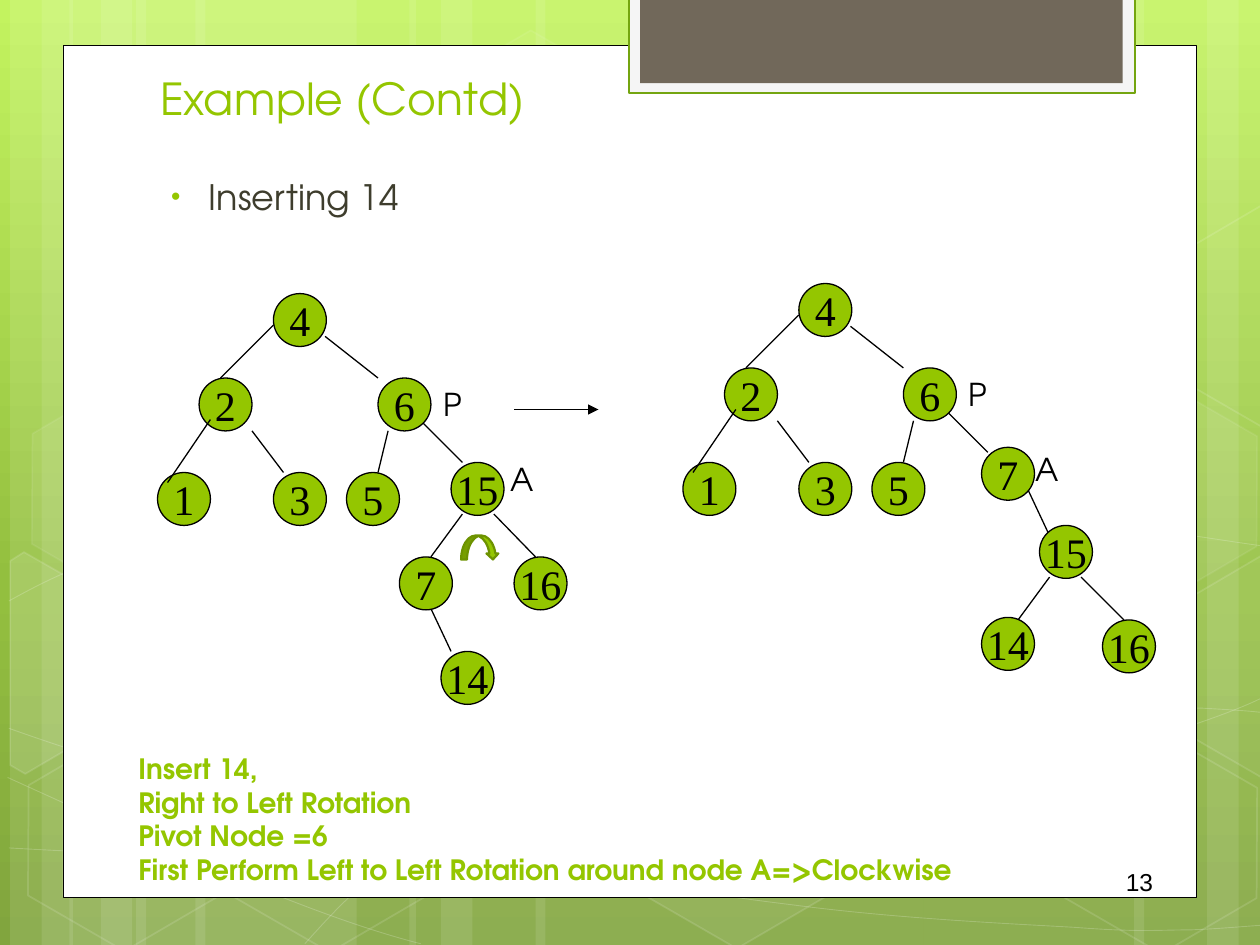
import copy
import math

from lxml import etree
from pptx import Presentation
from pptx import util as u
from pptx.dml.color import RGBColor
from pptx.enum import shapes, text
from pptx.oxml.ns import qn

LIME = RGBColor(0x94, 0xC6, 0x00)
MOSS = RGBColor(0x6D, 0x92, 0x00)
LEAF = RGBColor(0x74, 0xA5, 0x10)
TAUPE = RGBColor(0x71, 0x68, 0x5A)
OLIVE = RGBColor(0x3E, 0x3D, 0x2D)
PALE = RGBColor(0xF5, 0xF5, 0xF5)
WHITE = RGBColor(0xFF, 0xFF, 0xFF)
BLACK = RGBColor(0, 0, 0)
GRADIENT = [(0, RGBColor(0xC3, 0xF3, 0x5F)), (0.62, RGBColor(0x93, 0xBF, 0x3F)),
            (1, RGBColor(0x81, 0xA5, 0x3E))]

SANS, SERIF = "TeX Gyre Adventor", "Times New Roman"
HEAD = {"name": SANS, "size": u.Pt(25.2), "bold": False}
BODY = {"name": SANS, "size": u.Pt(20)}
NOTE = {"name": SANS, "size": u.Pt(16), "bold": True}
TAG = {"name": SANS, "size": u.Pt(18)}
NUM = {"name": SERIF, "size": u.Pt(24)}
PAGE = {"name": "Arial", "size": u.Pt(14)}

OVAL, RECT = shapes.MSO_SHAPE.OVAL, shapes.MSO_SHAPE.RECTANGLE
HEX, TURN = shapes.MSO_SHAPE.HEXAGON, shapes.MSO_SHAPE.CURVED_DOWN_ARROW

# Pale bars: left, width, turn
BARS = [(1.08, 1.75, 0), (0.08, 0.5, 0), (0.33, 0.83, 0), (1.55, 1.75, 0), (0.55, 0.5, 0),
        (0.8, 0.83, 0), (7.33, 1.75, 180), (9.58, 0.5, 180), (9, 0.83, 180),
        (4.25, 3.08, 0), (3.25, 0.5, 0), (3.5, 0.83, 0)]
# Bezier chains: a start, then three points a piece (three equal ones: a straight piece)
WAVES = [
    [(0.07, 6.73), (0.61, 6.76), (1.15, 6.79), (1.9, 6.78), (2.65, 6.77), (3.58, 6.75),
     (4.58, 6.65), (5.58, 6.55), (7, 6.36), (7.92, 6.17), (8.83, 5.98), (9.77, 5.68), (10.07, 5.51)],
    [(0.07, 4.77), (0.36, 4.61), (0.65, 4.46), (1.21, 4.31), (1.78, 4.16), (2.59, 3.94),
     (3.47, 3.87), (4.36, 3.8), (5.44, 3.79), (6.54, 3.87), (7.64, 3.95), (9.47, 4.26), (10.07, 4.34)],
    [(0.06, 6.17), (1.27, 6.72), (2.47, 7.27), (3.34, 7.49)],
    [(0.07, 5.78), (0.38, 5.89), (0.7, 6), (1.28, 6.16), (1.86, 6.31), (2.73, 6.56), (3.57, 6.73),
     (4.4, 6.9), (5.45, 7.08), (6.28, 7.18), (7.11, 7.29), (8, 7.33), (8.53, 7.36),
     (9.05, 7.4), (9.19, 7.38), (9.45, 7.38), (9.71, 7.37), (9.89, 7.35), (10.07, 7.34)],
    [(2.42, 7.49), (2.6, 7.29), (2.78, 7.09), (3.02, 6.91), (3.26, 6.73), (3.6, 6.53), (3.88, 6.39),
     (4.16, 6.25), (4.33, 6.19), (4.7, 6.09), (5.06, 5.99), (5.73, 5.85), (6.08, 5.78),
     (6.44, 5.71), (6.49, 5.71), (6.8, 5.69), (7.11, 5.66), (7.6, 5.63), (7.94, 5.62),
     (8.29, 5.61), (8.86, 5.62), (8.86, 5.62)] + [(9.53, 5.62)] * 3 +
    [(9.71, 5.63), (9.88, 5.64), (9.97, 5.65), (10.06, 5.66), (10.03, 5.65), (10.06, 5.66)],
]
# Hexagons: left, top, fill and line opacity in percent
CELLS = [(3.34, 0.36, 4, 8), (4.97, 5.89, 6, 12), (0.11, 5.91, 0, 12), (0.14, 3.12, 7, 8),
         (1.74, 5.92, 0, 12), (7.53, 4.53, 10, 12), (8.34, 5.93, 0, 12), (8.34, 3.14, 7, 8)]
# Hexagons cut by the slide edge: centre, points, fill opacity
CUTS = [
    ((0.36, 5.35), [(0.08, 4.45), (0.19, 4.38), (0.96, 4.82), (0.95, 5.7), (0.2, 6.14), (0.08, 6.07)], 10),
    ((9.85, 5.2), [(9.26, 4.85), (10.01, 4.41), (10.09, 4.46), (10.09, 6.13), (10.02, 6.17), (9.26, 5.73)], 4),
    ((9.85, 2.41), [(9.26, 2.07), (10.01, 1.63), (10.1, 1.68), (10.09, 3.35), (10.02, 3.39), (9.26, 2.95)], 0),
]

# Part shared by both trees, then what differs; the right tree is shifted
LOW = [("3", 2.17, 3.75), ("2", 1.58, 3), ("1", 1.25, 3.75)]
TOP = [("4", 2.17, 2.33), ("6", 3, 3), ("5", 2.75, 3.75)]
EDGES = [(2.17, 2.58, 1.75, 3), (2.58, 2.67, 3, 3), (3.33, 3.33, 3.67, 3.67),
         (1.67, 3.33, 1.33, 3.83), (2, 3.42, 2.25, 3.75), (3.08, 3.42, 3, 3.75)]
TAGS = [("P", 3.42, 3.01), ("A", 3.95, 3.6)]
SHIFT = (4.17, -0.08)
LEFT = ([("15", 3.58, 3.67), ("16", 4.08, 4.42), ("7", 3.17, 4.42), ("14", 3.5, 5.17)],
        [(3.92, 4.08, 4.25, 4.42), (3.67, 4.08, 3.42, 4.42), (3.42, 4.83, 3.58, 5.17)])
RIGHT = ([("15", 8.25, 4.17), ("16", 8.75, 4.92), ("7", 7.79, 3.55), ("14", 7.79, 4.9)],
         [(8.58, 4.58, 8.92, 4.92), (8.33, 4.58, 8.08, 4.92), (8.16, 3.89, 8.32, 4.23)])


def inch(*vals):
    return [u.Inches(v) for v in vals]


def paint(shape, fill=None, line=None, width=0.75, alpha=100, ink=100):
    """Set fill and line; alpha and ink are their opacities."""
    shape.shadow.inherit = False
    for part, hue in ((shape.fill, fill), (shape.line.fill, line)):
        if hue is None:
            part.background()
        else:
            part.solid()
            part.fore_color.rgb = hue
    if line is not None:
        shape.line.width = u.Pt(width)
    for query, level in (("a:solidFill", alpha), ("a:ln/a:solidFill", ink)):
        for clr in shape._element.spPr.xpath(query + "/a:srgbClr"):
            if level < 100:
                etree.SubElement(clr, qn("a:alpha"), val=str(level * 1000))


def add_box(slide, kind, box, **look):
    shape = slide.shapes.add_shape(kind, *inch(*box))
    paint(shape, **look)
    return shape


def add_free(slide, points, closed, **look):
    spots = [inch(*p) for p in points]
    pen = slide.shapes.build_freeform(*spots[0])
    pen.add_line_segments(spots[1:], close=closed)
    shape = pen.convert_to_shape()
    paint(shape, **look)
    return shape


def add_wave(slide, chain):
    """Join each three segments of a freeform into one Bezier piece."""
    shape = add_free(slide, chain, False, line=WHITE, width=0.5, ink=20)
    segs = shape._element.spPr.xpath(".//a:lnTo")
    for i in range(0, len(segs), 3):
        flat = len(set(chain[i + 1:i + 4])) == 1
        piece = etree.SubElement(segs[0].getparent() if i == 0 else trail,
                                 qn("a:lnTo" if flat else "a:cubicBezTo"))
        trail = piece.getparent()
        for seg in segs[i:i + 1 if flat else i + 3]:
            piece.append(seg[0])
    for seg in segs:
        trail.remove(seg)


def add_line(slide, ends, arrow=False):
    line = slide.shapes.add_connector(shapes.MSO_CONNECTOR.STRAIGHT, *inch(*ends))
    line.line.color.rgb = BLACK
    line.line.width = u.Pt(0.75)
    props = line._element.spPr
    if arrow:
        etree.SubElement(props.xpath("a:ln")[0], qn("a:tailEnd"), type="triangle")
    etree.SubElement(props, qn("a:effectLst"))


def write(frame, lines, fmt, hue, align=text.PP_ALIGN.LEFT, anchor=text.MSO_ANCHOR.TOP, wrap=True):
    frame.word_wrap = wrap
    frame.vertical_anchor = anchor
    frame.auto_size = text.MSO_AUTO_SIZE.NONE
    for i, words in enumerate(lines):
        para = frame.add_paragraph() if i else frame.paragraphs[0]
        para.text = words
        para.alignment = align
        for run in para.runs:
            run.font.color.rgb = hue
            for key, val in fmt.items():
                setattr(run.font, key, val)


def add_text(slide, box, lines, fmt, hue, **look):
    frame = slide.shapes.add_textbox(*inch(*box)).text_frame
    write(frame, lines, fmt, hue, **look)
    return frame


def add_dot(para):
    props = para._p.get_or_add_pPr()
    props.set("marL", str(u.Inches(0.38)))
    props.set("indent", str(u.Inches(-0.3)))
    tint = etree.SubElement(props, qn("a:buClr"))
    etree.SubElement(tint, qn("a:srgbClr"), val=str(LIME))
    etree.SubElement(props, qn("a:buSzPct"), val="76000")
    etree.SubElement(props, qn("a:buFont"), typeface="Arial")
    etree.SubElement(props, qn("a:buChar"), char="•")


def spin(points, mid, angle):
    c, s = math.cos(math.radians(angle)), math.sin(math.radians(angle))
    rel = [(x - mid[0], y - mid[1]) for x, y in points]
    return [(mid[0] + x * c - y * s, mid[1] + x * s + y * c) for x, y in rel]


def add_scene(slide):
    # Gradient behind everything
    fill = slide.background.fill
    fill.gradient()
    fill.gradient_angle = 270
    first = fill.gradient_stops[0]._gs
    first.addnext(copy.deepcopy(first))
    for stop, (spot, hue) in zip(fill.gradient_stops, GRADIENT):
        stop.position = spot
        stop.color.rgb = hue
    # Bars, waves and hexagons
    for left, wide, turn in BARS:
        add_box(slide, RECT, (left, 0, wide, 7.5), fill=WHITE, alpha=10).rotation = turn
    for chain in WAVES:
        add_wave(slide, chain)
    for left, top, alpha, ink in CELLS:
        cell = add_box(slide, HEX, (left, top, 1.75, 1.52), fill=WHITE if alpha else None,
                       line=WHITE, width=1, alpha=alpha, ink=ink)
        cell.adjustments[0] = 0.285
        cell.rotation = 30
    for mid, points, alpha in CUTS:
        add_free(slide, spin(points, mid, -30), True, fill=WHITE if alpha else None,
                 line=WHITE, width=1, alpha=alpha, ink=12).rotation = 30
    # Page panel and top tab
    add_box(slide, RECT, (0.5, 0.36, 9, 6.76), fill=WHITE, line=BLACK, width=0.5)
    add_box(slide, RECT, (4.99, -0.02, 4.02, 0.76), fill=PALE, line=LEAF, width=1.25)
    add_box(slide, RECT, (5.08, -0.02, 3.83, 0.68), fill=TAUPE)


def add_tree(slide, dx, dy, nodes, edges):
    def add_nodes(items):
        for label, x, y in items:
            node = add_box(slide, OVAL, (x, y, 0.42, 0.42), fill=LIME, line=BLACK)
            write(node.text_frame, [label], NUM, BLACK, align=text.PP_ALIGN.CENTER,
                  anchor=text.MSO_ANCHOR.MIDDLE, wrap=False)

    def move(items):
        return [(label, x + dx, y + dy) for label, x, y in items]

    add_nodes(move(LOW))
    for ends in [(a + dx, b + dy, c + dx, d + dy) for a, b, c, d in EDGES] + edges:
        add_line(slide, ends)
    add_nodes(move(TOP) + nodes)
    for label, x, y in move(TAGS):
        add_text(slide, (x, y, 0.42, 0.4), [label], TAG, BLACK)


def main():
    deck = Presentation()
    deck.slide_width, deck.slide_height = inch(10, 7.5)
    slide = deck.slides.add_slide(deck.slide_layouts[5])
    add_scene(slide)
    # Title, raised above the panel
    title = slide.shapes.title
    slide.shapes._spTree.append(title._element)
    title.left, title.top, title.width, title.height = inch(1.17, 0.5, 7.68, 0.54)
    write(title.text_frame, ["Example (Contd)"], HEAD, LIME, anchor=text.MSO_ANCHOR.BOTTOM)
    # Body, notes and page number
    body = add_text(slide, (1.18, 1.34, 7.41, 3.84), ["Inserting 14"], BODY, OLIVE)
    add_dot(body.paragraphs[0])
    add_text(slide, (1, 5.83, 7.63, 1.25),
             ["Insert 14,", "Right to Left Rotation\vPivot Node =6\v"
              "First Perform Left to Left Rotation around node A=>Clockwise"],
             NOTE, LIME, anchor=text.MSO_ANCHOR.BOTTOM)
    add_text(slide, (7.17, 6.83, 2.08, 0.5), ["13"], PAGE, BLACK, align=text.PP_ALIGN.RIGHT)
    # Trees before and after the rotation
    add_tree(slide, 0, 0, *LEFT)
    add_line(slide, (4.08, 3.25, 4.75, 3.25), arrow=True)
    add_tree(slide, *SHIFT, *RIGHT)
    add_box(slide, TURN, (3.66, 4.25, 0.3, 0.19), fill=LIME, line=MOSS, width=1.25)
    deck.save("out.pptx")


if __name__ == "__main__":
    main()
